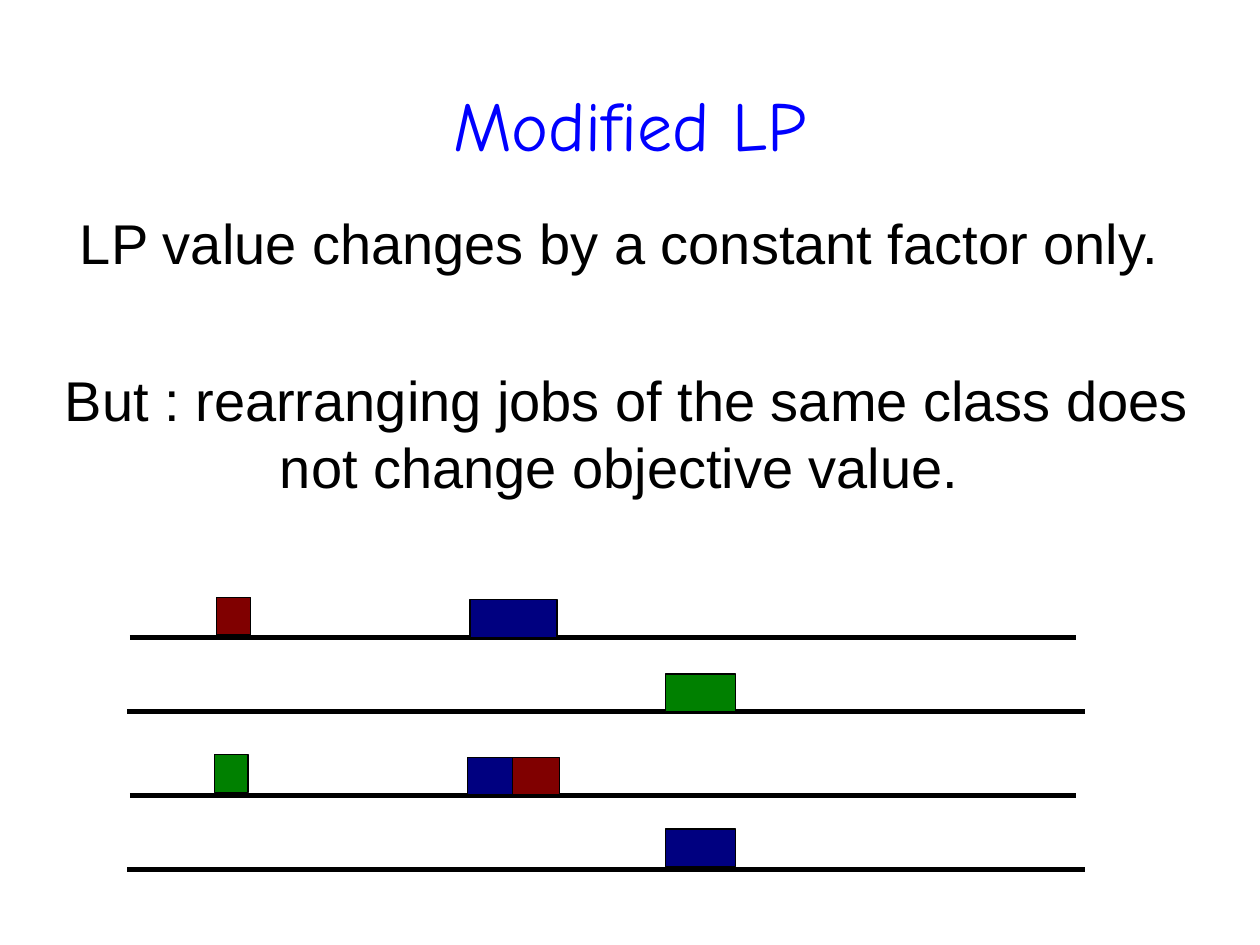
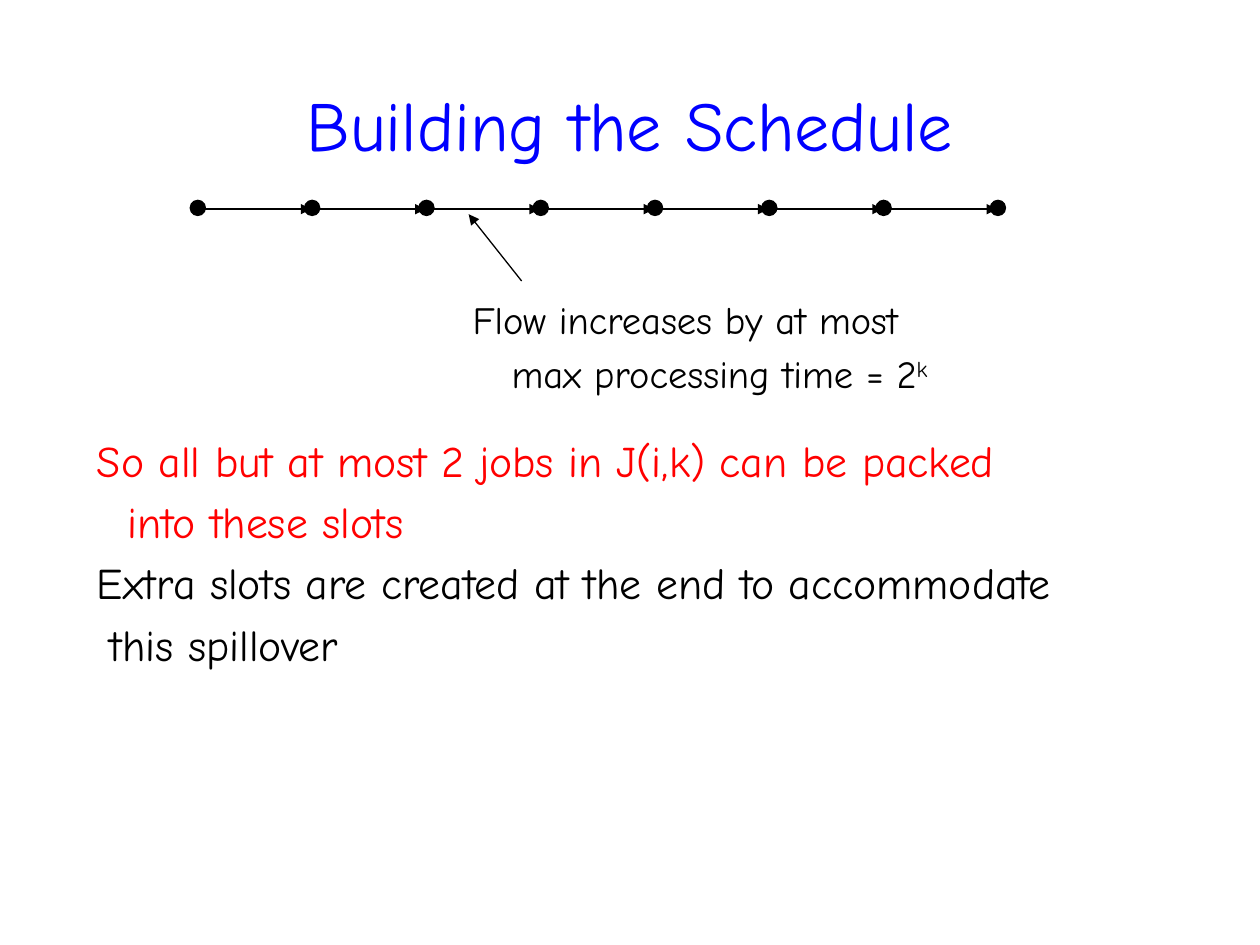
from pptx import Presentation
from pptx.dml.color import RGBColor
from pptx.enum.shapes import MSO_CONNECTOR, MSO_SHAPE
from pptx.enum.text import MSO_ANCHOR, MSO_AUTO_SIZE, PP_ALIGN
from pptx.oxml.ns import qn
from pptx.util import Inches, Pt
from lxml import etree

BLACK = RGBColor(0x00, 0x00, 0x00)
BLUE = RGBColor(0x00, 0x00, 0xFF)
RED = RGBColor(0xFF, 0x00, 0x00)
NAVY = RGBColor(0x00, 0x00, 0x80)
MAROON = RGBColor(0x80, 0x00, 0x00)
GREEN = RGBColor(0x00, 0x80, 0x00)


class Deck:
    hand_font = "Comic Neue"
    body_font = "Arial"
    hand_spacing = 1.17

    def __init__(self):
        self.prs = Presentation()
        self.prs.slide_width = Inches(10)
        self.prs.slide_height = Inches(7.5)
        self.s = None

    def slide(self, title):
        self.s = self.prs.slides.add_slide(self.prs.slide_layouts[5])
        sp = self.s.shapes.title
        sp.left, sp.top = Inches(0.5), Inches(0.34)
        sp.width, sp.height = Inches(9), Inches(1.16)
        tf = self.frame(sp, 0, 0, MSO_ANCHOR.MIDDLE)
        p = tf.paragraphs[0]
        p.text = title
        self.style(p, self.hand_font, 40, BLUE, PP_ALIGN.CENTER, self.hand_spacing)

    def frame(self, sp, side, edge, anchor):
        tf = sp.text_frame
        tf.auto_size = MSO_AUTO_SIZE.NONE
        tf.word_wrap = True
        tf.vertical_anchor = anchor
        tf.margin_left = tf.margin_right = Inches(side)
        tf.margin_top = tf.margin_bottom = Inches(edge)
        return tf

    def style(self, p, font, size, color, align, spacing):
        p.alignment = align
        p.line_spacing = spacing
        p.font.name = font
        p.font.size = Pt(size)
        p.font.color.rgb = color

    def box(self, x, y, w, h):
        return self.s.shapes.add_textbox(Inches(x), Inches(y), Inches(w), Inches(h))

    def statement(self, x, y, w, h, lines, gap):
        tf = self.frame(self.box(x, y, w, h), 0, 0, MSO_ANCHOR.MIDDLE)
        for i, line in enumerate(lines):
            p = tf.add_paragraph() if i else tf.paragraphs[0]
            p.text = line
            p.space_before = Pt(gap if i else 0)
            self.style(p, self.body_font, 32, BLACK, PP_ALIGN.CENTER, 1.0)

    def notes(self, x, y, w, h, size, lines):
        tf = self.frame(self.box(x, y, w, h), 0.09, 0.04, MSO_ANCHOR.TOP)
        for i, (line, indent, color) in enumerate(lines):
            p = tf.add_paragraph() if i else tf.paragraphs[0]
            p.text = line
            p._p.get_or_add_pPr().set("marL", str(Inches(indent)))
            self.style(p, self.hand_font, size, color, PP_ALIGN.LEFT, self.hand_spacing)
        return tf

    def superscript(self, p, text):
        r = p.add_run()
        r.text = text
        r.font._element.set("baseline", "30000")

    def shape(self, kind, x, y, w, h, color):
        sp = self.s.shapes.add_shape(kind, Inches(x), Inches(y), Inches(w), Inches(h))
        sp.shadow.inherit = False
        sp.fill.solid()
        sp.fill.fore_color.rgb = color
        sp.line.color.rgb = BLACK
        sp.line.width = Pt(0.75)

    def line(self, x1, y1, x2, y2, width, arrow=False):
        c = self.s.shapes.add_connector(
            MSO_CONNECTOR.STRAIGHT, Inches(x1), Inches(y1), Inches(x2), Inches(y2))
        c.line.color.rgb = BLACK
        c.line.width = Pt(width)
        if arrow:
            etree.SubElement(c.line._get_or_add_ln(), qn("a:tailEnd"), type="triangle")
        etree.SubElement(c._element.spPr, qn("a:effectLst"))


def modified_lp(deck):
    deck.slide("Modified LP")
    deck.statement(0.48, 0.92, 9, 3.78, [
        "LP value changes by a constant factor only. ",
        "But : rearranging jobs of the same class does not change objective value. ",
    ], 51)
    machines = [(1.03, 8.54, 5.06), (1.01, 8.61, 5.65),
                (1.03, 8.54, 6.31), (1.01, 8.61, 6.9)]
    for x1, x2, y in machines:
        deck.line(x1, y, x2, y, 2.83)
    jobs = [
        (1.72, 4.74, 0.27, MAROON), (3.73, 4.76, 0.69, NAVY),
        (5.28, 5.35, 0.56, GREEN),
        (1.7, 5.99, 0.27, GREEN), (3.71, 6.01, 0.37, NAVY), (4.07, 6.01, 0.37, MAROON),
        (5.28, 6.58, 0.56, NAVY),
    ]
    for x, y, w, color in jobs:
        deck.shape(MSO_SHAPE.RECTANGLE, x, y, w, 0.3, color)


def building_schedule(deck):
    deck.slide("Building the Schedule")
    dots, size = 8, 0.12
    pitch = 6.35 / (dots - 1)
    lefts = [1.51 + i * pitch for i in range(dots)]
    for x in lefts:
        deck.shape(MSO_SHAPE.OVAL, x, 1.59, size, size, BLACK)
    for x in lefts[:-1]:
        deck.line(x + size, 1.66, x + size + 0.84, 1.66, 1.45, arrow=True)
    deck.line(4.14, 2.23, 3.72, 1.7, 0.75, arrow=True)
    tf = deck.notes(3.66, 2.25, 4.09, 0.93, 22, [
        ("Flow increases by at most", 0, BLACK),
        ("max processing time = 2", 0.31, BLACK),
    ])
    deck.superscript(tf.paragraphs[1], "k")
    deck.notes(0.68, 3.33, 8.74, 2.34, 25, [
        ("So all but at most 2 jobs in J(i,k) can be packed", 0, RED),
        ("into these slots", 0.24, RED),
        ("Extra slots are created at the end to accommodate", 0, BLACK),
        ("this spillover", 0.1, BLACK),
    ])


def main():
    deck = Deck()
    modified_lp(deck)
    building_schedule(deck)
    deck.prs.save("out.pptx")


if __name__ == "__main__":
    main()
